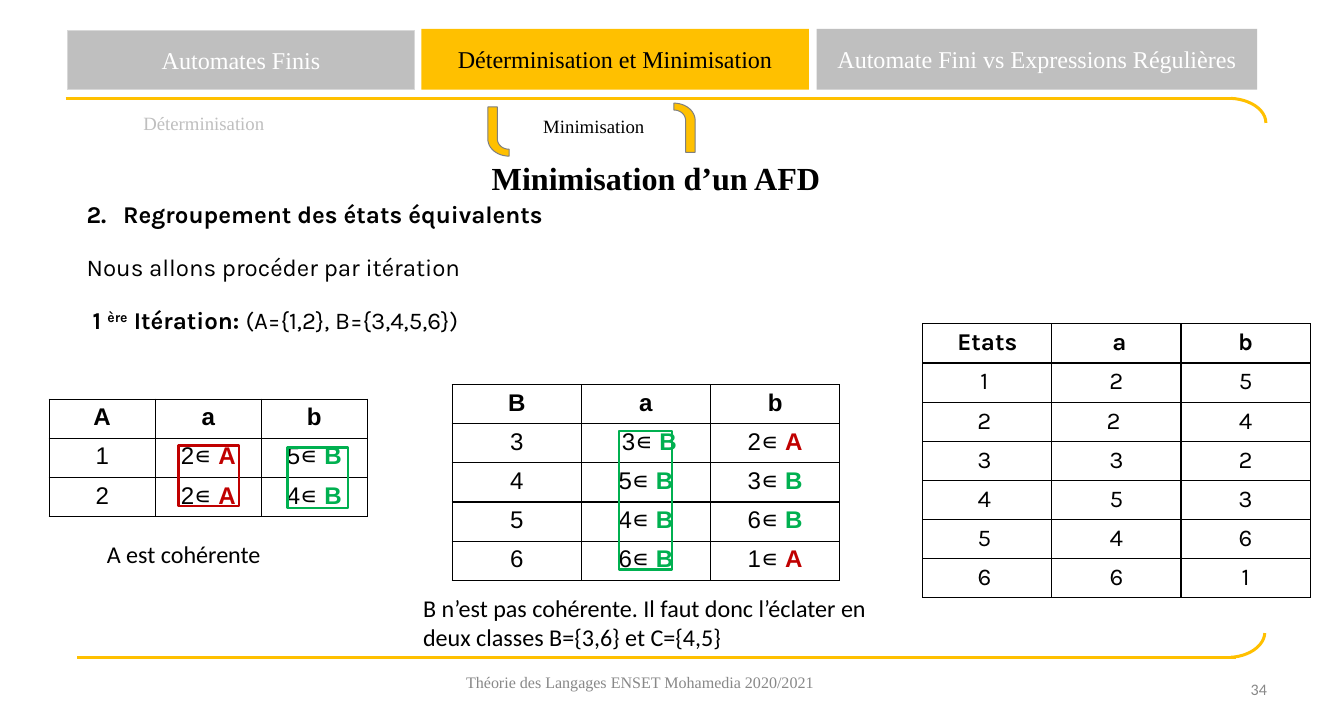
import math

from lxml import etree
from pptx import Presentation
from pptx import util as u
from pptx.dml import color
from pptx.enum import shapes, text
from pptx.oxml import ns

COLUMNS, ROWS = 139.4, 75
SERIF = "Times New Roman"
GOLD, GREY, BLACK, WHITE = "FFC000", "BFBFBF", "000000", "FFFFFF"
CLASS_COLORS = {"A": "C00000", "B": "00B050"}

presentation = Presentation()
presentation.slide_width = u.Inches(13.94)
presentation.slide_height = u.Inches(7.5)


def across(columns):
    """Convert grid columns to a length."""
    return u.Emu(round(columns * presentation.slide_width / COLUMNS))


def down(rows):
    """Convert grid rows to a length."""
    return u.Emu(round(rows * presentation.slide_height / ROWS))


def place(box):
    """Convert a grid box to left, top, width and height."""
    left, top, width, height = box
    return across(left), down(top), across(width), down(height)


def rgb(value):
    """Turn a hex string into a colour."""
    return color.RGBColor.from_string(value)


def add_run(paragraph, content, size=18, font=SERIF, ink=BLACK, bold=False, raised=False):
    """Add one formatted run to a paragraph."""
    run = paragraph.add_run()
    run.text = content
    run.font.size, run.font.name, run.font.bold = u.Pt(size), font, bold
    run.font.color.rgb = rgb(ink)
    if raised:
        run.font._element.set("baseline", "30000")


def write(frame, paragraphs, align="LEFT", anchor="TOP", inset=True, before=0, spacing=None, **style):
    """Fill a text frame with paragraphs made of strings or (string, format) runs."""
    frame.word_wrap = True
    frame.auto_size = text.MSO_AUTO_SIZE.NONE
    frame.vertical_anchor = text.MSO_ANCHOR[anchor]
    frame.margin_left = frame.margin_right = u.Inches(0.1 if inset else 0)
    frame.margin_top = frame.margin_bottom = u.Inches(0.05 if inset else 0)
    for index, runs in enumerate(paragraphs):
        paragraph = frame.add_paragraph() if index else frame.paragraphs[0]
        paragraph.alignment = text.PP_ALIGN[align]
        paragraph.space_before = u.Pt(before if index else 0)
        if spacing:
            paragraph.line_spacing = spacing
        for run in [runs] if isinstance(runs, str) else runs:
            content, changes = (run, {}) if isinstance(run, str) else run
            add_run(paragraph, content, **{**style, **changes})


def add_text(slide, box, *paragraphs, **style):
    """Add a text box."""
    shape = slide.shapes.add_textbox(*place(box))
    write(shape.text_frame, paragraphs, **style)
    return shape


def paint(shape, fill=None, line=None, weight=0.75):
    """Set the fill and outline of a shape."""
    shape.shadow.inherit = False
    if fill:
        shape.fill.solid()
        shape.fill.fore_color.rgb = rgb(fill)
    else:
        shape.fill.background()
    if line:
        shape.line.color.rgb = rgb(line)
        shape.line.width = u.Pt(weight)
    else:
        shape.line.fill.background()


def add_rectangle(slide, box, **look):
    """Add a painted rectangle."""
    shape = slide.shapes.add_shape(shapes.MSO_SHAPE.RECTANGLE, *place(box))
    paint(shape, **look)
    return shape


def add_rule(slide, start, end, level, arc_box, angles):
    """Draw a gold horizontal rule with a rounded end."""
    rule = slide.shapes.add_connector(
        shapes.MSO_CONNECTOR.STRAIGHT, across(start), down(level), across(end), down(level))
    rule.line.color.rgb = rgb(GOLD)
    rule.line.width = u.Pt(2.25)
    etree.SubElement(rule._element.spPr, ns.qn("a:effectLst"))
    arc = slide.shapes.add_shape(shapes.MSO_SHAPE.ARC, *place(arc_box))
    arc.adjustments[0], arc.adjustments[1] = angles
    paint(arc, line=GOLD, weight=2.25)


def add_bracket(slide, box, turned=False):
    """Draw a bracket with one quarter-round end, optionally turned by half."""
    left, top, width, height = box
    steps = [math.radians(90 * step / 12) for step in range(13)]
    outer = [(1 - math.cos(a), 0.65 + 0.35 * math.sin(a)) for a in steps]
    inner = [(1 - 0.55 * math.cos(a), 0.65 + 0.21 * math.sin(a)) for a in reversed(steps)]
    outline = [(0, 0), *outer, *inner, (0.45, 0)]
    if turned:
        outline = [(1 - x, 1 - y) for x, y in outline]
    points = [(across(left + x * width), down(top + y * height)) for x, y in outline]
    builder = slide.shapes.build_freeform(*points[0])
    builder.add_line_segments(points[1:], close=True)
    paint(builder.convert_to_shape(), fill=GOLD, line="7F7F7F")


def add_navigation(slide, box):
    """Place the section tabs and the subsection labels."""
    left, top, width, height = box
    tabs = [
        ("Automates Finis", 0, 0.2, 36, 6.1, GREY, "D8D8D8", WHITE),
        ("Déterminisation et Minimisation", 36.7, 0, 40.2, 6.3, GOLD, None, BLACK),
        ("Automate Fini vs Expressions Régulières", 77.7, 0, 45.7, 6.3, GREY, None, WHITE),
    ]
    for label, x, y, tab_width, tab_height, fill, line, ink in tabs:
        tab = add_rectangle(slide, (left + x, top + y, tab_width, tab_height), fill=fill, line=line)
        write(tab.text_frame, [label], align="CENTER", anchor="MIDDLE", inset=False, ink=ink)
    add_bracket(slide, (left + 43.6, top + 8.1, 2.2, 5.1))
    add_bracket(slide, (left + 62.9, top + 7.7, 2.2, 5.1), turned=True)
    for label, x, y, label_width, ink in [
            ("Déterminisation", 4.8, 7.7, 18.7, GREY), ("Minimisation", 36.4, 8, 36.4, BLACK)]:
        add_text(slide, (left + x, top + y, label_width, 4.5), label, align="CENTER",
                 anchor="MIDDLE", inset=False, spacing=0.8, size=14, ink=ink)


def add_body(slide, box):
    """Write the numbered heading and the iteration text."""
    heavy = {"bold": True}
    body = add_text(
        slide, box,
        [("Regroupement des états équivalents", heavy)],
        "Nous allons procéder par itération",
        [(" 1 ", heavy), ("ère", {"bold": True, "raised": True}),
         (" Itération: ", heavy), "(A={1,2}, B={3,4,5,6})"],
        font="Karla", before=18)
    properties = body.text_frame.paragraphs[0]._p.get_or_add_pPr()
    properties.set("marL", str(u.Inches(0.38)))
    properties.set("indent", str(-u.Inches(0.38)))
    etree.SubElement(properties, ns.qn("a:buFont"), typeface="+mj-lt")
    etree.SubElement(properties, ns.qn("a:buAutoNum"), type="arabicPeriod", startAt="2")


def outline_cell(cell):
    """Give a cell black borders and no fill."""
    properties = cell._tc.get_or_add_tcPr()
    for side in ("lnL", "lnR", "lnT", "lnB"):
        border = etree.SubElement(properties, ns.qn(f"a:{side}"), w=str(u.Pt(1)))
        fill = etree.SubElement(border, ns.qn("a:solidFill"))
        etree.SubElement(fill, ns.qn("a:srgbClr"), val=BLACK)
    cell.fill.background()


def add_state_table(slide, box, rows, font="Arial", marks=()):
    """Add a transition table and frame the marked cells."""
    left, top, width, height = box
    table = slide.shapes.add_table(len(rows), len(rows[0]), *place(box)).table
    table.horz_banding = False
    for row_index, row in enumerate(rows):
        for column_index, label in enumerate(row):
            cell = table.cell(row_index, column_index)
            runs = [label]
            if "∊" in label:
                runs = [label[:-1], (label[-1], {"ink": CLASS_COLORS[label[-1]], "bold": True})]
            write(cell.text_frame, [runs], align="CENTER", font=font, bold=row_index == 0)
            outline_cell(cell)
    for group, x, y, mark_width, mark_height in marks:
        add_rectangle(slide, (left + x, top + y, mark_width, mark_height),
                      line=CLASS_COLORS[group], weight=2)


def add_tables(slide):
    """Place the three tables and their conclusions."""
    add_state_table(slide, (95.7, 33.6, 40.2, 28.4), [
        ("Etats", " a", "b"), ("1 ", "2", "5"), ("2 ", "2 ", "4"), ("3 ", "3", "2"),
        ("4 ", "5", "3"), ("5 ", "4", "6"), ("6 ", "6", "1")], font="Karla")
    add_state_table(slide, (5.1, 41.4, 33, 12.2), [
        ("A", "a", "b"), ("1", "2∊ A", "5∊ B"), ("2", "2∊ A", "4∊ B")],
        marks=[("A", 13.4, 4.8, 6.3, 6.3), ("B", 24.7, 5, 6.3, 6.3)])
    add_state_table(slide, (46.9, 39.9, 40.2, 20.3), [
        ("B", "a", "b"), ("3", " 3∊ B", "2∊ A"), ("4", "5∊ B", "3∊ B"),
        ("5", "4∊ B", "6∊ B"), ("6", "6∊ B", "1∊ A")],
        marks=[("B", 17.3, 4.8, 5.5, 14.4)])
    add_text(slide, (10.1, 55.5, 18.2, 4), "A est cohérente", font="Calibri")
    add_text(slide, (42.9, 61.1, 49.1, 7.1), "B n’est pas cohérente. Il faut donc l’éclater en",
             "deux classes B={3,6} et C={4,5}", font="Calibri")


def add_footer(slide, box):
    """Place the course name and the page number."""
    left, top, width, height = box
    add_text(slide, (left, top, 76.2, height), "Théorie des Langages ENSET Mohamedia 2020/2021",
             align="CENTER", anchor="MIDDLE", size=12, ink="888888")
    add_text(slide, (left + 71.6, top + 0.7, 32.5, height), "34", align="RIGHT",
             anchor="MIDDLE", size=12, font="Calibri", ink="888888")


def build_slide():
    """Build the minimisation slide."""
    slide = presentation.slides.add_slide(presentation.slide_layouts[5])
    title = slide.shapes.title
    title.left, title.top, title.width, title.height = place((50, 15.9, 36.4, 5))
    write(title.text_frame, ["Minimisation d’un AFD"], size=24, bold=True)
    add_rule(slide, 6.8, 127.9, 10.2, (123.5, 10.2, 7.8, 5.1), (165.97, 0))
    add_rule(slide, 8, 128.2, 68.2, (123.5, 62.9, 7.7, 5.3), (1.15, 50.03))
    add_body(slide, (8, 20.2, 126.3, 33.3))
    add_tables(slide)
    add_navigation(slide, (7, 3, 123.4, 13.2))
    add_footer(slide, (28.3, 68.8, 104.1, 4))


if __name__ == "__main__":
    build_slide()
    presentation.save("out.pptx")
